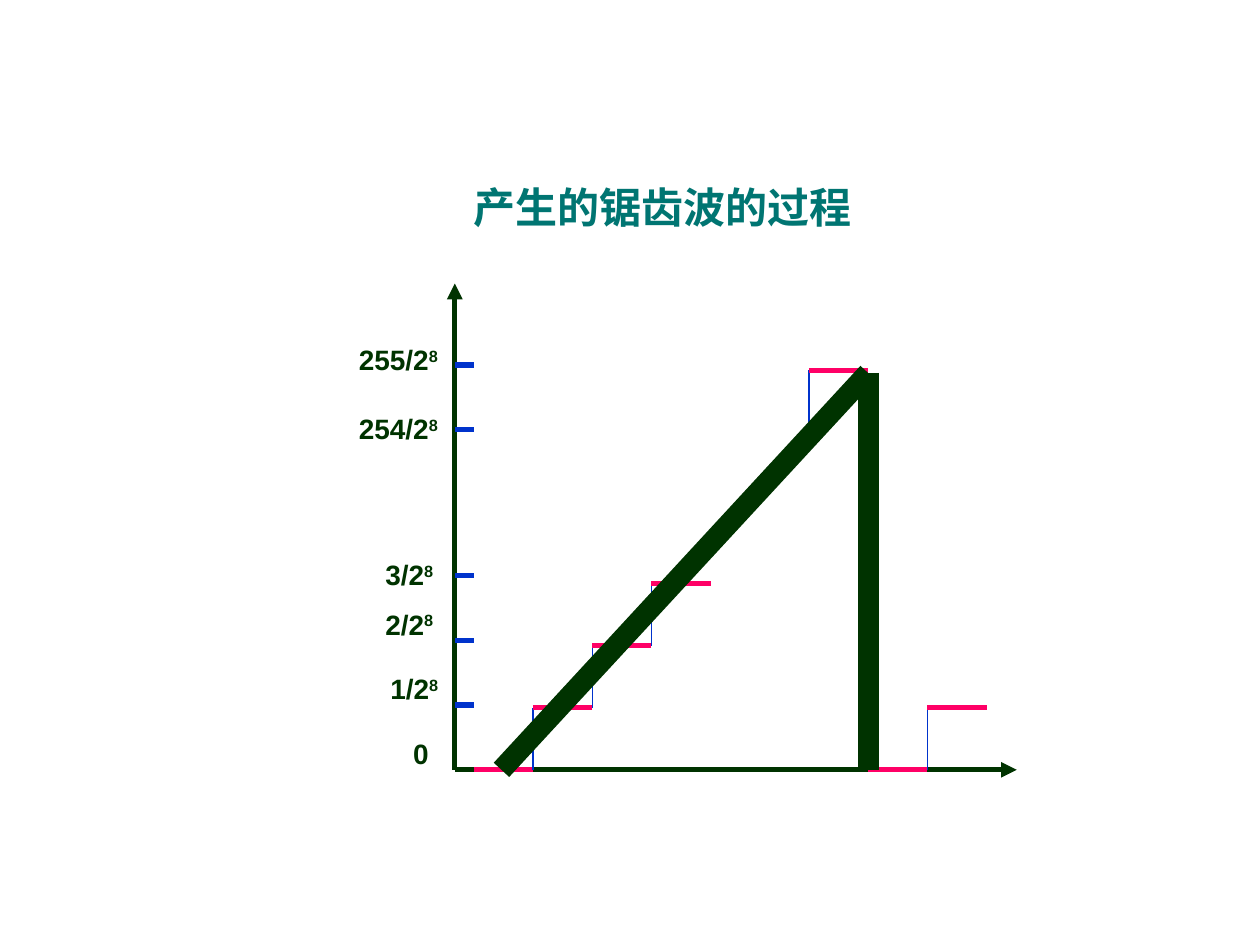
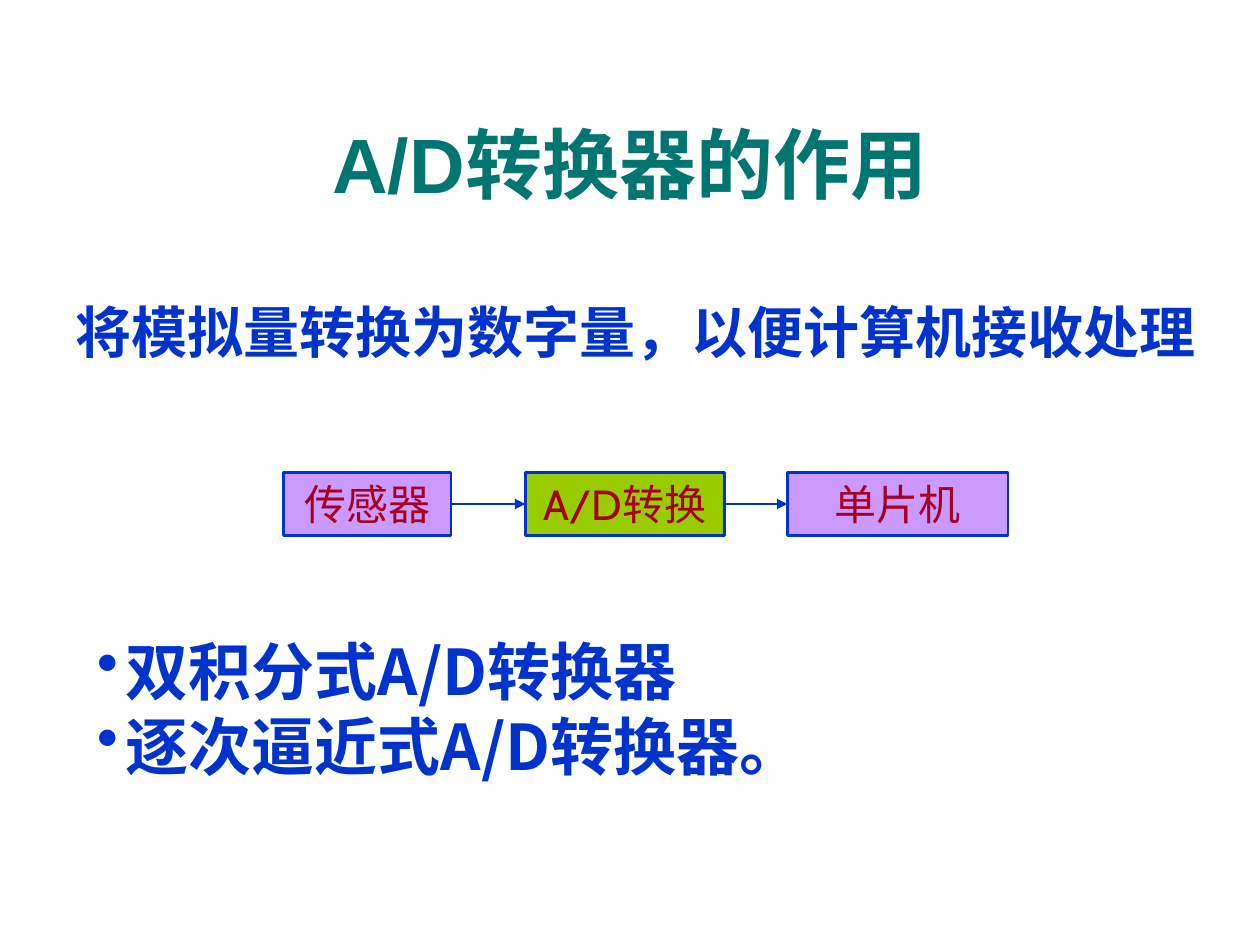
from dataclasses import dataclass

from lxml.etree import SubElement
from pptx import Presentation
from pptx.dml.color import RGBColor
from pptx.enum.shapes import MSO_CONNECTOR, MSO_SHAPE
from pptx.enum.text import MSO_ANCHOR, MSO_AUTO_SIZE, PP_ALIGN
from pptx.oxml.ns import qn
from pptx.util import Inches, Pt

SLIDE_WIDTH, SLIDE_HEIGHT = Inches(10), Inches(7.5)
COLUMN, ROW = SLIDE_WIDTH / 100, SLIDE_HEIGHT / 75


@dataclass(frozen=True)
class Theme:
    title: str = "007572"
    axis: str = "003300"
    accent: str = "0033CC"
    tread: str = "FF0066"
    box_text: str = "A50021"
    device: str = "CC99FF"
    converter: str = "99CC00"
    latin: str = "Arial"
    body: str = "Cabin"
    asian: str = "Noto Sans CJK SC"
    label_size: int = 16
    small_size: int = 24
    lead_size: int = 32
    list_size: int = 36
    title_size: int = 44
    hairline: float = 0.75
    border: float = 1.5
    stroke: float = 3
    wave: float = 12
    bullet_indent: float = 2.3


THEME = Theme()


@dataclass(frozen=True)
class Box:
    left: float
    top: float
    width: float
    height: float

    def inner(self, left, top, width, height):
        return Box(self.left + left, self.top + top, width, height)

    def point(self, column, rows_up):
        return self.left + column, self.top + self.height - rows_up

    def lengths(self):
        return (round(self.left * COLUMN), round(self.top * ROW),
                round(self.width * COLUMN), round(self.height * ROW))


def add_bullet(paragraph, bullet, color):
    properties = paragraph._p.get_or_add_pPr()
    indent = round(THEME.bullet_indent * COLUMN)
    properties.set("marL", str(indent))
    properties.set("indent", str(-indent))
    bullet_color = SubElement(properties, qn("a:buClr"))
    SubElement(bullet_color, qn("a:srgbClr")).set("val", color)
    SubElement(properties, qn("a:buChar")).set("char", bullet)


def write_text(shape, text, *, size, color, font=THEME.latin, bold=True,
               align=PP_ALIGN.LEFT, anchor=MSO_ANCHOR.TOP, wrap=True,
               bullet=None):
    frame = shape.text_frame
    frame.word_wrap = wrap
    frame.auto_size = MSO_AUTO_SIZE.NONE
    frame.vertical_anchor = anchor
    for index, line in enumerate(text.split("\n")):
        paragraph = frame.add_paragraph() if index else frame.paragraphs[0]
        paragraph.alignment = align
        if bullet:
            add_bullet(paragraph, bullet, color)
        for raised, part in enumerate(line.split("^")):
            run = paragraph.add_run()
            run.text = part
            run.font.size = Pt(size)
            run.font.bold = bold
            run.font.name = font
            run.font.color.rgb = RGBColor.from_string(color)
            run_properties = run._r.get_or_add_rPr()
            SubElement(run_properties, qn("a:ea")).set("typeface", THEME.asian)
            if raised:
                run_properties.set("baseline", "30000")


def add_text(slide, box, text, **text_format):
    shape = slide.shapes.add_textbox(*box.lengths())
    write_text(shape, text, **text_format)


def add_title_slide(presentation, box, text, **text_format):
    slide = presentation.slides.add_slide(presentation.slide_layouts[5])
    title = slide.shapes.title
    title.left, title.top, title.width, title.height = box.lengths()
    write_text(title, text, color=THEME.title, anchor=MSO_ANCHOR.MIDDLE,
               **text_format)
    return slide


def add_line(slide, start, end, color, width, arrow=False):
    ends = [round(value * unit) for point in (start, end)
            for value, unit in zip(point, (COLUMN, ROW))]
    line = slide.shapes.add_connector(MSO_CONNECTOR.STRAIGHT, *ends)
    line.line.color.rgb = RGBColor.from_string(color)
    line.line.width = Pt(width)
    if arrow:
        outline = line.line._get_or_add_ln()
        SubElement(outline, qn("a:tailEnd")).set("type", "triangle")
    SubElement(line._element.spPr, qn("a:effectLst"))
    return line


def add_axes(slide, box):
    origin = box.point(0, 0)
    for end in (box.point(box.width, 0), box.point(0, box.height)):
        add_line(slide, origin, end, THEME.axis, THEME.stroke, arrow=True)
    tick_gap, tick_length = 5.14, 1.5
    for level in (1, 2, 3, 5.25, 6.25):
        height = level * tick_gap
        add_line(slide, box.point(0, height), box.point(tick_length, height),
                 THEME.accent, THEME.stroke)
    labels = [("1/2^8", -6.1, 30.3, 5.8), ("2/2^8", -6.5, 25.2, 5.8),
              ("3/2^8", -6.5, 21.3, 5.8), ("254/2^8", -8.6, 9.7, 8.2),
              ("255/2^8", -8.6, 4.2, 8.2), ("0", -4.3, 35.5, 3.2)]
    for text, left, top, width in labels:
        add_text(slide, box.inner(left, top, width, 3.7), text,
                 size=THEME.label_size, color=THEME.axis, wrap=False)


def add_staircase(slide, box):
    first, tread, rise = 1.5, 4.7, 4.93

    def corner(step, level):
        return box.point(first + step * tread, level * rise)

    for step, level in [(0, 0), (1, 1), (2, 2), (3, 3),
                        (5.66, 6.43), (6.66, 0), (7.66, 1)]:
        if level:
            add_line(slide, corner(step, level - 1), corner(step, level),
                     THEME.accent, THEME.hairline)
        add_line(slide, corner(step, level), corner(step + 1, level),
                 THEME.tread, THEME.stroke)


def add_sawtooth(slide, box):
    peak = box.point(32.8, 31.5)
    add_line(slide, box.point(3.7, 0), peak, THEME.axis, THEME.wave)
    add_line(slide, peak, box.point(32.8, 0), THEME.axis, THEME.wave)


def add_signal_chain(slide, box):
    stages = [("传感器", 0, 13.3, THEME.device),
              ("A/D转换", 19.2, 15.8, THEME.converter),
              ("单片机", 40, 17.5, THEME.device)]
    previous = None
    for text, left, width, fill in stages:
        place = box.inner(left, 0, width, box.height)
        shape = slide.shapes.add_shape(MSO_SHAPE.RECTANGLE, *place.lengths())
        shape.shadow.inherit = False
        shape.fill.solid()
        shape.fill.fore_color.rgb = RGBColor.from_string(fill)
        shape.line.color.rgb = RGBColor.from_string(THEME.accent)
        shape.line.width = Pt(THEME.border)
        write_text(shape, text, size=THEME.small_size, color=THEME.box_text,
                   font=THEME.body, bold=False, align=PP_ALIGN.CENTER,
                   anchor=MSO_ANCHOR.MIDDLE)
        if previous:
            middle = place.point(0, place.height / 2)
            arrow = add_line(slide, middle, middle, THEME.accent,
                             THEME.hairline, arrow=True)
            arrow.begin_connect(previous, 3)
            arrow.end_connect(shape, 1)
        previous = shape


def build_sawtooth_slide(presentation):
    slide = add_title_slide(presentation, Box(36.6, 13.9, 36, 5),
                            "产生的锯齿波的过程", size=THEME.small_size)
    plot = Box(36.1, 22.5, 44.6, 38.6)
    for add_region in (add_axes, add_staircase, add_sawtooth):
        add_region(slide, plot)


def build_converter_slide(presentation):
    slide = add_title_slide(presentation, Box(3.3, 6.7, 93.4, 12.5),
                            "A/D转换器的作用", size=THEME.title_size,
                            align=PP_ALIGN.CENTER)
    add_text(slide, Box(5, 16.7, 93.8, 19.2),
             "将模拟量转换为数字量，以便计算机接收处理",
             size=THEME.lead_size, color=THEME.accent, font=THEME.body,
             anchor=MSO_ANCHOR.MIDDLE)
    add_signal_chain(slide, Box(22.5, 37.5, 57.5, 5))
    add_text(slide, Box(6.7, 49.7, 63.3, 13),
             "双积分式A/D转换器\n逐次逼近式A/D转换器。",
             size=THEME.list_size, color=THEME.accent, font=THEME.asian,
             bullet="•")


def main():
    presentation = Presentation()
    presentation.slide_width = SLIDE_WIDTH
    presentation.slide_height = SLIDE_HEIGHT
    build_sawtooth_slide(presentation)
    build_converter_slide(presentation)
    presentation.save("out.pptx")


if __name__ == "__main__":
    main()
